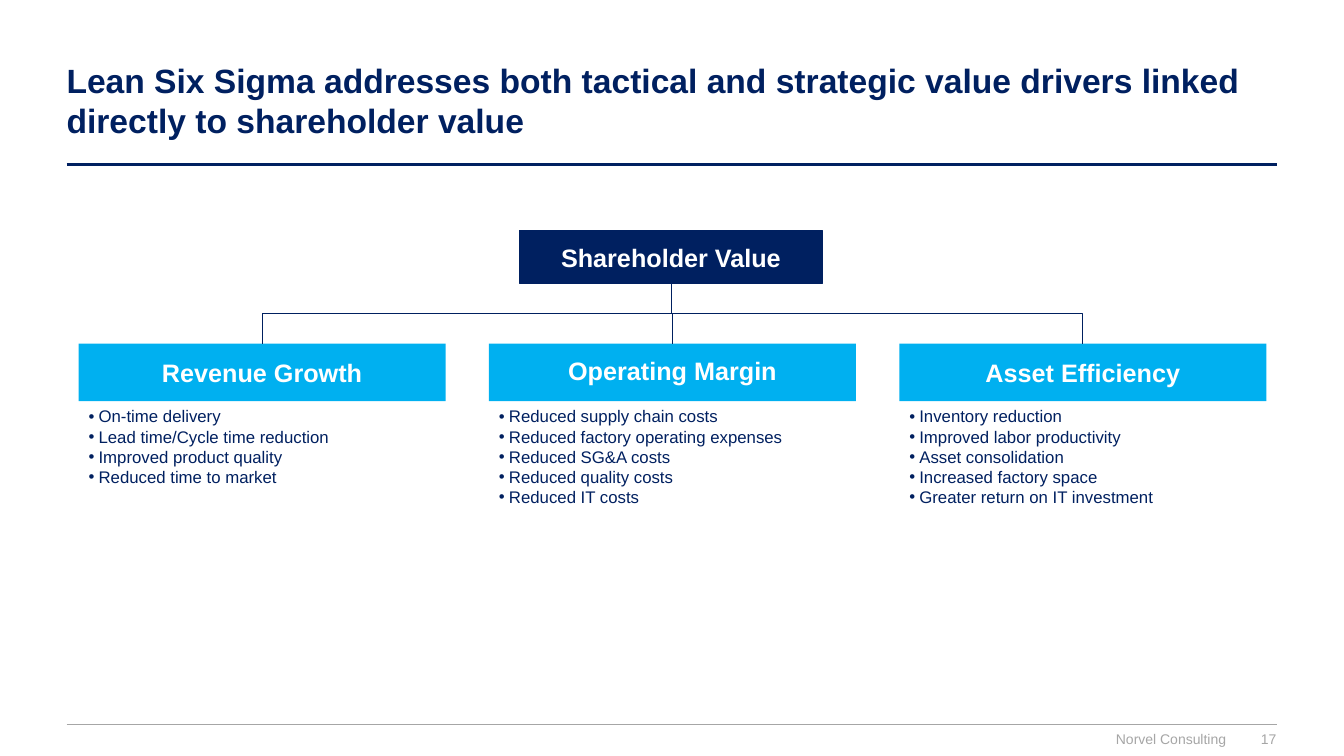
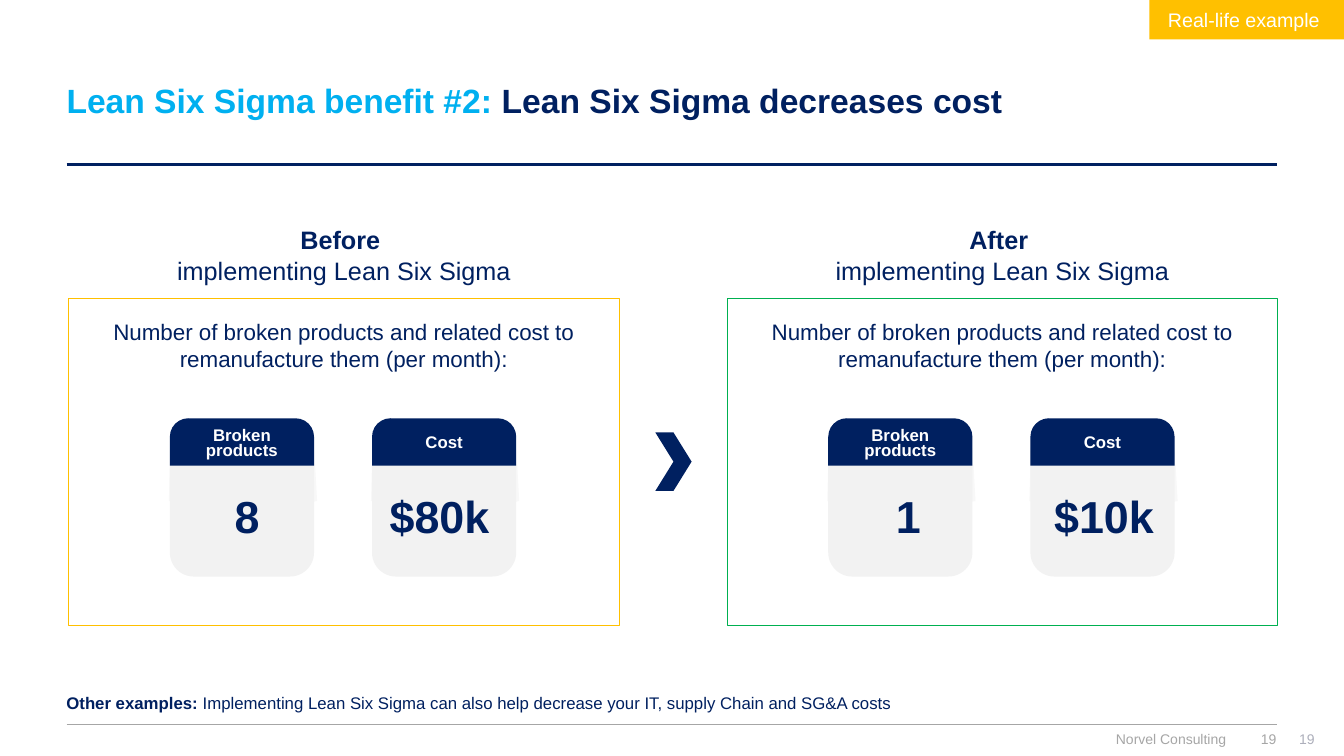
from dataclasses import dataclass
from typing import Optional, Sequence, Union

from lxml.etree import SubElement
from pptx import Presentation
from pptx.dml.color import RGBColor
from pptx.enum.shapes import MSO_CONNECTOR, MSO_SHAPE
from pptx.enum.text import MSO_ANCHOR, MSO_AUTO_SIZE, PP_ALIGN
from pptx.oxml.ns import qn
from pptx.shapes.autoshape import Shape
from pptx.shapes.connector import Connector
from pptx.slide import Slide
from pptx.text.text import TextFrame
from pptx.util import Inches, Length, Pt

NAVY = RGBColor(0x00, 0x20, 0x60)
SKY = RGBColor(0x00, 0xB0, 0xF0)
AMBER = RGBColor(0xFF, 0xC0, 0x00)
GREEN = RGBColor(0x00, 0xB0, 0x50)
GREY = RGBColor(0xA6, 0xA6, 0xA6)
BLUE_GREY = RGBColor(0xAD, 0xAF, 0xBB)
PALE = RGBColor(0xF2, 0xF2, 0xF2)
WHITE = RGBColor(0xFF, 0xFF, 0xFF)

FONT = "Arial"
FOOTER = "Norvel Consulting"
RULE_LEFT, RULE_RIGHT = 0.66, 12.67
ROOT_CENTER, ROOT_BOTTOM = 6.66, 2.81
DRIVER_TOP, DRIVER_WIDTH, DRIVER_HEIGHT = 3.41, 3.64, 0.57
CARD_TOP, CARD_WIDTH, CARD_STEP = 4.15, 1.43, 2.005
BAND_OUTLINE = ((0, 0.46), (1.44, 0.46), (1.46, 0.82), (1.3, 0.86), (1.1, 0.89),
                (0.74, 0.9), (0.36, 0.88), (0.15, 0.86), (-0.01, 0.82))


@dataclass(frozen=True)
class Span:
    text: str
    bold: Optional[bool] = None
    color: Optional[RGBColor] = None


Line = Union[str, Sequence[Span]]


@dataclass(frozen=True)
class Style:
    size: float
    color: RGBColor = NAVY
    bold: bool = False
    align: PP_ALIGN = PP_ALIGN.LEFT
    anchor: MSO_ANCHOR = MSO_ANCHOR.TOP
    insets: tuple[float, float, float, float] = (0.1, 0.05, 0.1, 0.05)
    spacing: Union[float, Length, None] = None
    bullet: bool = False


@dataclass(frozen=True)
class Driver:
    heading: str
    levers: tuple[str, ...]
    spacing: Optional[float] = None


@dataclass(frozen=True)
class Card:
    label: str
    value: str
    value_center: float


@dataclass(frozen=True)
class Scenario:
    heading: str
    left: float
    outline: RGBColor
    cards: tuple[Card, ...]


TITLE = Style(24, bold=True, anchor=MSO_ANCHOR.MIDDLE)
BOX = Style(18, WHITE, True, PP_ALIGN.CENTER, MSO_ANCHOR.MIDDLE)
BULLETS = Style(12, bullet=True)
FOOTNOTE = Style(12)
FOOTER_TEXT = Style(10, GREY, align=PP_ALIGN.RIGHT, insets=(0, 0, 0, 0))
PAGE = Style(10, GREY, align=PP_ALIGN.RIGHT, anchor=MSO_ANCHOR.MIDDLE, insets=(0, 0, 0, 0))
SECOND_PAGE = Style(10, BLUE_GREY, align=PP_ALIGN.RIGHT, anchor=MSO_ANCHOR.MIDDLE,
                    insets=(0.1, 0, 0, 0.05))
SCENARIO_HEADING = Style(18, align=PP_ALIGN.CENTER)
PANEL = Style(16, align=PP_ALIGN.CENTER, insets=(0.1, 0.2, 0.1, 0.05))
CARD_LABEL = Style(12, WHITE, True, PP_ALIGN.CENTER, MSO_ANCHOR.MIDDLE, spacing=Pt(11))
CARD_VALUE = Style(32, bold=True, align=PP_ALIGN.CENTER)
TAG = Style(14, WHITE, align=PP_ALIGN.CENTER, anchor=MSO_ANCHOR.MIDDLE)

DRIVERS = (
    Driver("Revenue Growth", (
        "On-time delivery", "Lead time/Cycle time reduction",
        "Improved product quality", "Reduced time to market")),
    Driver("Operating Margin", (
        "Reduced supply chain costs", "Reduced factory operating expenses",
        "Reduced SG&A costs", "Reduced quality costs", "Reduced IT costs"), 0.9),
    Driver("Asset Efficiency", (
        "Inventory reduction", "Improved labor productivity", "Asset consolidation",
        "Increased factory space", "Greater return on IT investment")),
)

SCENARIOS = (
    Scenario("Before ", 0.68, AMBER,
             (Card("Broken products", "8", 2.45), Card("Cost", "$80k", 4.36))),
    Scenario("After ", 7.21, GREEN,
             (Card("Broken products", "1", 9.01), Card("Cost", "$10k", 10.95))),
)


def write(frame: TextFrame, lines: Sequence[Line], style: Style) -> None:
    frame.word_wrap = True
    frame.auto_size = MSO_AUTO_SIZE.NONE
    frame.vertical_anchor = style.anchor
    (frame.margin_left, frame.margin_top,
     frame.margin_right, frame.margin_bottom) = map(Inches, style.insets)
    for index, line in enumerate(lines):
        paragraph = frame.add_paragraph() if index else frame.paragraphs[0]
        paragraph.alignment = style.align
        if style.spacing is not None:
            paragraph.line_spacing = style.spacing
        if style.bullet:
            properties = paragraph._p.get_or_add_pPr()
            properties.set("marL", str(Inches(0.1)))
            properties.set("indent", str(Inches(-0.1)))
            SubElement(properties, qn("a:buFont")).set("typeface", FONT)
            SubElement(properties, qn("a:buChar")).set("char", "•")
        paragraph.font.name = FONT
        paragraph.font.size = Pt(style.size)
        paragraph.font.bold = style.bold
        paragraph.font.color.rgb = style.color
        for span in (Span(line),) if isinstance(line, str) else line:
            run = paragraph.add_run()
            run.text = span.text
            if span.bold is not None:
                run.font.bold = span.bold
            if span.color is not None:
                run.font.color.rgb = span.color


def add_text(slide: Slide, left: float, top: float, width: float, height: float,
             lines: Sequence[Line], style: Style) -> None:
    box = slide.shapes.add_textbox(*map(Inches, (left, top, width, height)))
    write(box.text_frame, lines, style)


def paint(shape: Shape, fill: Optional[RGBColor], outline: Optional[RGBColor] = None,
          weight: float = 0.5) -> None:
    shape.shadow.inherit = False
    if fill is None:
        shape.fill.background()
    else:
        shape.fill.solid()
        shape.fill.fore_color.rgb = fill
    if outline is None:
        shape.line.fill.background()
    else:
        shape.line.color.rgb = outline
        shape.line.width = Pt(weight)


def add_block(slide: Slide, kind: MSO_SHAPE, left: float, top: float, width: float,
              height: float, fill: Optional[RGBColor],
              outline: Optional[RGBColor] = None) -> Shape:
    block = slide.shapes.add_shape(kind, *map(Inches, (left, top, width, height)))
    paint(block, fill, outline)
    return block


def add_line(slide: Slide, start: tuple[float, float], end: tuple[float, float],
             color: RGBColor, weight: float,
             kind: MSO_CONNECTOR = MSO_CONNECTOR.STRAIGHT) -> Connector:
    line = slide.shapes.add_connector(kind, *map(Inches, (*start, *end)))
    line.line.color.rgb = color
    line.line.width = Pt(weight)
    SubElement(line._element.spPr, qn("a:effectLst"))
    return line


def add_branch(slide: Slide, child_center: float) -> None:
    middle_x = (ROOT_CENTER + child_center) / 2
    middle_y = (ROOT_BOTTOM + DRIVER_TOP) / 2
    half_drop = (DRIVER_TOP - ROOT_BOTTOM) / 2
    half_reach = (ROOT_CENTER - child_center) / 2
    branch = add_line(slide, (middle_x - half_drop, middle_y - half_reach),
                      (middle_x + half_drop, middle_y + half_reach),
                      NAVY, 0.5, MSO_CONNECTOR.ELBOW)
    branch._element.spPr.get_or_add_xfrm().rot = 90.0


def start_slide(deck: Presentation, title: Line, page: str) -> Slide:
    slide = deck.slides.add_slide(deck.slide_layouts[5])
    heading = slide.shapes.title
    heading.left, heading.top, heading.width, heading.height = map(
        Inches, (0.56, 0.4, 12.11, 1.18))
    write(heading.text_frame, [title], TITLE)
    for y, color, weight in ((1.63, NAVY, 2), (7.19, GREY, 1)):
        add_line(slide, (RULE_LEFT, y), (RULE_RIGHT, y), color, weight)
    add_text(slide, 9.42, 7.25, 2.74, 0.17, [FOOTER], FOOTER_TEXT)
    add_text(slide, 12.27, 7.23, 0.39, 0.21, [page], PAGE)
    return slide


def add_driver(slide: Slide, driver: Driver, left: float) -> None:
    heading = add_block(slide, MSO_SHAPE.RECTANGLE, left, DRIVER_TOP,
                        DRIVER_WIDTH, DRIVER_HEIGHT, SKY)
    write(heading.text_frame, [driver.heading], BOX)
    if driver.spacing is not None:
        heading.text_frame.paragraphs[0].line_spacing = driver.spacing
    add_text(slide, left, DRIVER_TOP + DRIVER_HEIGHT, DRIVER_WIDTH, 1.11,
             driver.levers, BULLETS)
    add_branch(slide, left + DRIVER_WIDTH / 2)


def add_card(slide: Slide, card: Card, left: float) -> None:
    points = [(Inches(left + x), Inches(CARD_TOP + y)) for x, y in BAND_OUTLINE]
    builder = slide.shapes.build_freeform(*points[0])
    builder.add_line_segments(points[1:], close=True)
    band = builder.convert_to_shape()
    paint(band, PALE)
    tint = band._element.spPr.find(qn("a:solidFill")).find(qn("a:srgbClr"))
    SubElement(tint, qn("a:alpha")).set("val", "48000")
    add_block(slide, MSO_SHAPE.ROUNDED_RECTANGLE, left, CARD_TOP + 0.1, CARD_WIDTH, 1.47, PALE)
    label = add_block(slide, MSO_SHAPE.ROUND_2_SAME_RECTANGLE, left, CARD_TOP,
                      CARD_WIDTH, 0.47, NAVY)
    label.adjustments[0] = 0.39
    write(label.text_frame, [card.label], CARD_LABEL)
    add_text(slide, card.value_center - 0.7, 4.8, 1.4, 0.64, [card.value], CARD_VALUE)


def add_scenario(slide: Slide, scenario: Scenario) -> None:
    panel = add_block(slide, MSO_SHAPE.RECTANGLE, scenario.left, 2.96, 5.46, 3.24,
                      None, scenario.outline)
    write(panel.text_frame, [
        "Number of broken products and related cost to remanufacture them (per month):"], PANEL)
    add_text(slide, scenario.left + 0.97, 2.18, 3.52, 0.71,
             [[Span(scenario.heading, bold=True)], "implementing Lean Six Sigma"],
             SCENARIO_HEADING)
    for index, card in enumerate(scenario.cards):
        add_card(slide, card, scenario.left + 1.005 + index * CARD_STEP)


def build_value_drivers(deck: Presentation) -> None:
    slide = start_slide(deck, "Lean Six Sigma addresses both tactical and strategic value "
                        "drivers linked directly to shareholder value", "17")
    root = add_block(slide, MSO_SHAPE.RECTANGLE, 5.15, 2.29, 3.01, 0.52, NAVY, NAVY)
    write(root.text_frame, ["Shareholder Value"], BOX)
    for index, driver in enumerate(DRIVERS):
        add_driver(slide, driver, 0.78 + index * 4.07)


def build_cost_benefit(deck: Presentation) -> None:
    slide = start_slide(deck, [Span("Lean Six Sigma benefit #2: ", color=SKY),
                               Span("Lean Six Sigma decreases cost")], "19")
    add_text(slide, 10.04, 7.25, 3, 0.21, ["19"], SECOND_PAGE)
    for scenario in SCENARIOS:
        add_scenario(slide, scenario)
    add_block(slide, MSO_SHAPE.CHEVRON, 6.5, 4.29, 0.36, 0.58, NAVY)
    add_text(slide, 0.56, 6.82, 10.71, 0.3, [[
        Span("Other examples: ", bold=True),
        Span("Implementing Lean Six Sigma can also help decrease your IT, "
             "supply Chain and SG&A costs")]], FOOTNOTE)
    tag = add_block(slide, MSO_SHAPE.RECTANGLE, 11.4, 0, 1.93, 0.39, AMBER)
    write(tag.text_frame, ["Real-life example "], TAG)


def main() -> None:
    deck = Presentation()
    deck.slide_width, deck.slide_height = Inches(13.33), Inches(7.5)
    build_value_drivers(deck)
    build_cost_benefit(deck)
    deck.save("out.pptx")


if __name__ == "__main__":
    main()
